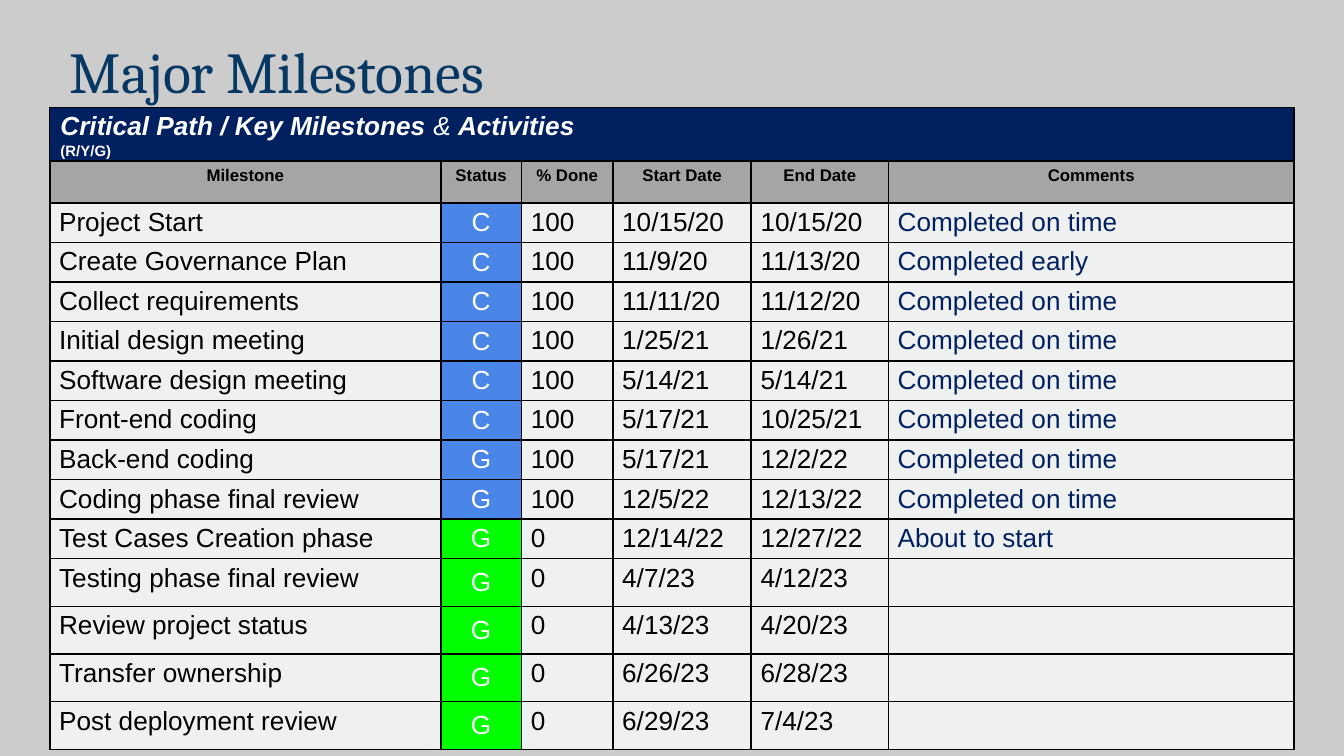
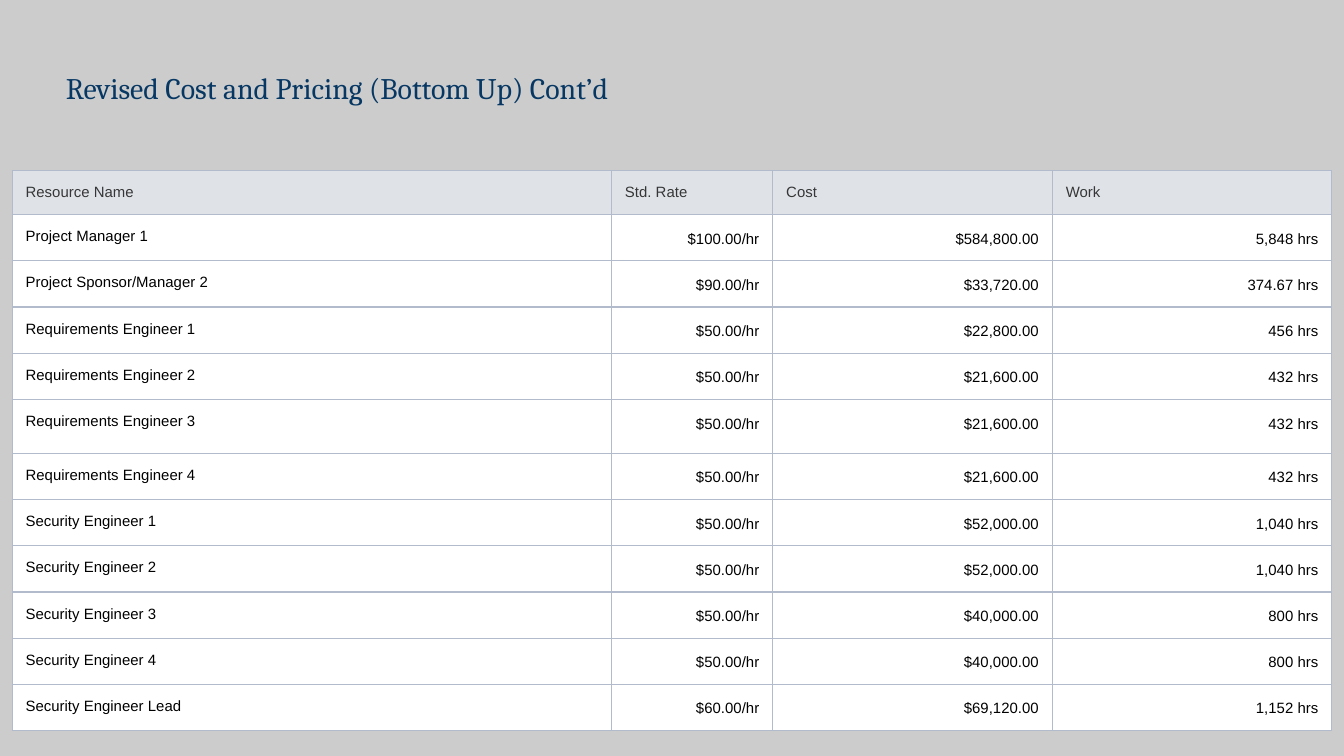
import pptx
import pptx.util
import pptx.dml.color
import pptx.enum.shapes
import pptx.enum.text
import pptx.oxml.ns
import lxml.etree

Inches = pptx.util.Inches
Pt = pptx.util.Pt
RGB = pptx.dml.color.RGBColor.from_string
Align = pptx.enum.text.PP_ALIGN
Anchor = pptx.enum.text.MSO_ANCHOR

hues = {
    "page": "CCCCCC", "title": "073763", "navy": "002060", "black": "000000",
    "white": "FFFFFF", "head": "A5A5A5", "pale": "EFF0F0", "blue": "4A86E8",
    "green": "00FF00", "rule": "B1BBCC", "ink": "363636", "mist": "DFE3E8",
}


def add_grid(slide, left, top, widths, heights):
    frame = slide.shapes.add_table(
        len(heights), len(widths), Inches(left), Inches(top),
        Inches(sum(widths)), Inches(sum(heights)))
    table = frame.table
    table.first_row = False
    table.horz_banding = False
    for col, width in zip(table.columns, widths):
        col.width = Inches(width)
    for row, height in zip(table.rows, heights):
        row.height = Inches(height)
    return table


def fill_cell(cell, text, size, ink, fill, rule, weight, pad,
              align=Align.LEFT, anchor=Anchor.TOP, bold=False):
    cell.margin_left = cell.margin_right = Inches(pad[0])
    cell.margin_top = cell.margin_bottom = Inches(pad[1])
    cell.vertical_anchor = anchor
    props = cell._tc.get_or_add_tcPr()
    for side in ("a:lnL", "a:lnR", "a:lnT", "a:lnB"):
        line = lxml.etree.SubElement(props, pptx.oxml.ns.qn(side), w=str(Pt(weight)))
        solid = lxml.etree.SubElement(line, pptx.oxml.ns.qn("a:solidFill"))
        lxml.etree.SubElement(solid, pptx.oxml.ns.qn("a:srgbClr"), val=hues[rule])
    cell.fill.solid()
    cell.fill.fore_color.rgb = RGB(hues[fill])
    cell.text_frame.text = text
    para = cell.text_frame.paragraphs[0]
    para.alignment = align
    for run in para.runs:
        run.font.name = "Arial"
        run.font.size = Pt(size)
        run.font.bold = bold
        run.font.color.rgb = RGB(hues[ink])
    if not text:
        para._p.get_or_add_endParaRPr().set("sz", str(size * 100))


prs = pptx.Presentation()
prs.slide_width = Inches(10)
prs.slide_height = Inches(10 * 9 / 16)
back = prs.slide_master.background.fill
back.solid()
back.fore_color.rgb = RGB(hues["page"])

heads = [
    ("Major Milestones", 31, (0.46, 0.24, 8.82, 0.56)),
    ("Revised Cost and Pricing (Bottom Up) Cont’d", 16, (0.43, 0.21, 8.2, 0.89)),
]
slides = []
for text, size, box in heads:
    slide = prs.slides.add_slide(prs.slide_layouts[5])
    title = slide.shapes.title
    title.left, title.top, title.width, title.height = map(Inches, box)
    frame = title.text_frame
    frame.text = text
    frame.auto_size = pptx.enum.text.MSO_AUTO_SIZE.NONE
    frame.vertical_anchor = Anchor.MIDDLE
    frame.margin_left = frame.margin_right = Inches(0.06)
    frame.margin_top = frame.margin_bottom = 0
    para = frame.paragraphs[0]
    para.alignment = Align.LEFT
    font = para.runs[0].font
    font.name = "Cambria"
    font.size = Pt(size)
    font.color.rgb = RGB(hues["title"])
    slides.append(slide)
plan, cost = slides

band = plan.shapes.add_shape(
    pptx.enum.shapes.MSO_SHAPE.RECTANGLE,
    Inches(0.37), Inches(0.8), Inches(9.26), Inches(0.4))
band.shadow.inherit = False
band.fill.solid()
band.fill.fore_color.rgb = RGB(hues["navy"])
band.line.color.rgb = RGB(hues["black"])
band.line.width = Pt(0.75)
frame = band.text_frame
frame.word_wrap = True
frame.vertical_anchor = Anchor.MIDDLE
frame.margin_left = frame.margin_right = Inches(0.08)
frame.margin_top = frame.margin_bottom = Inches(0.07)
lines = [
    [("Critical Path / Key Milestones ", 14, True, True),
     ("& ", 14, False, True), ("Activities", 14, True, True)],
    [("(R/Y/G)", 8, True, False)],
]
frame.add_paragraph()
for para, parts in zip(frame.paragraphs, lines):
    para.alignment = Align.LEFT
    for text, size, bold, slant in parts:
        run = para.add_run()
        run.text = text
        run.font.name = "Arial"
        run.font.size = Pt(size)
        run.font.bold = bold
        run.font.italic = slant
        run.font.color.rgb = RGB(hues["white"])

steps = [
    ("Milestone", "Status", "% Done", "Start Date", "End Date", "Comments"),
    ("Project Start", "C", "100", "10/15/20", "10/15/20", "Completed on time"),
    ("Create Governance Plan", "C", "100", "11/9/20", "11/13/20", "Completed early"),
    ("Collect requirements", "C", "100", "11/11/20", "11/12/20", "Completed on time"),
    ("Initial design meeting", "C", "100", "1/25/21", "1/26/21", "Completed on time"),
    ("Software design meeting", "C", "100", "5/14/21", "5/14/21", "Completed on time"),
    ("Front-end coding", "C", "100", "5/17/21", "10/25/21", "Completed on time"),
    ("Back-end coding", "G", "100", "5/17/21", "12/2/22", "Completed on time"),
    ("Coding phase final review", "G", "100", "12/5/22", "12/13/22", "Completed on time"),
    ("Test Cases Creation phase", "G", "0", "12/14/22", "12/27/22", "About to start"),
    ("Testing phase final review", "G", "0", "4/7/23", "4/12/23", ""),
    ("Review project status", "G", "0", "4/13/23", "4/20/23", ""),
    ("Transfer ownership", "G", "0", "6/26/23", "6/28/23", ""),
    ("Post deployment review", "G", "0", "6/29/23", "7/4/23", ""),
]
table = add_grid(plan, 0.37, 1.2, [2.91, 0.6, 0.68, 1.03, 1.02, 3.02],
                 [0.31] + [2.65 / 9] * 9 + [1.42 / 4] * 4)
for r, step in enumerate(steps):
    for c, text in enumerate(step):
        look = dict(size=14, ink="black", fill="pale")
        if r == 0:
            look = dict(size=9, ink="black", fill="head", align=Align.CENTER, bold=True)
        elif c == 1:
            look = dict(size=14, ink="white", align=Align.CENTER, anchor=Anchor.MIDDLE,
                        fill="blue" if step[2] == "100" else "green")
        elif c == 5:
            look["ink"] = "navy"
        fill_cell(table.cell(r, c), text, rule="black", weight=1,
                  pad=(0.07, 0.07 / 2), **look)

staff = [
    ("Resource Name", "Std. Rate", "Cost", "Work"),
    ("Project Manager 1", "$100.00/hr", "$584,800.00", "5,848 hrs"),
    ("Project Sponsor/Manager 2", "$90.00/hr", "$33,720.00", "374.67 hrs"),
    ("Requirements Engineer 1", "$50.00/hr", "$22,800.00", "456 hrs"),
    ("Requirements Engineer 2", "$50.00/hr", "$21,600.00", "432 hrs"),
    ("Requirements Engineer 3", "$50.00/hr", "$21,600.00", "432 hrs"),
    ("Requirements Engineer 4", "$50.00/hr", "$21,600.00", "432 hrs"),
    ("Security Engineer 1", "$50.00/hr", "$52,000.00", "1,040 hrs"),
    ("Security Engineer 2", "$50.00/hr", "$52,000.00", "1,040 hrs"),
    ("Security Engineer 3", "$50.00/hr", "$40,000.00", "800 hrs"),
    ("Security Engineer 4", "$50.00/hr", "$40,000.00", "800 hrs"),
    ("Security Engineer Lead", "$60.00/hr", "$69,120.00", "1,152 hrs"),
]
table = add_grid(cost, 0.09, 1.27, [4.46, 1.2, 2.08, 2.08],
                 [0.32] + [0.34] * 4 + [0.4] + [0.34] * 6)
for r, item in enumerate(staff):
    for c, text in enumerate(item):
        cell = table.cell(r, c)
        value = r > 0 and c > 0
        fill_cell(cell, text, 8, "black" if r else "ink", "white" if r else "mist",
                  "rule", 0.75, (0.1, 0.1), Align.RIGHT if value else Align.LEFT)
        if value:
            cell.text_frame.paragraphs[0].line_spacing = 1.15

prs.save("out.pptx")
